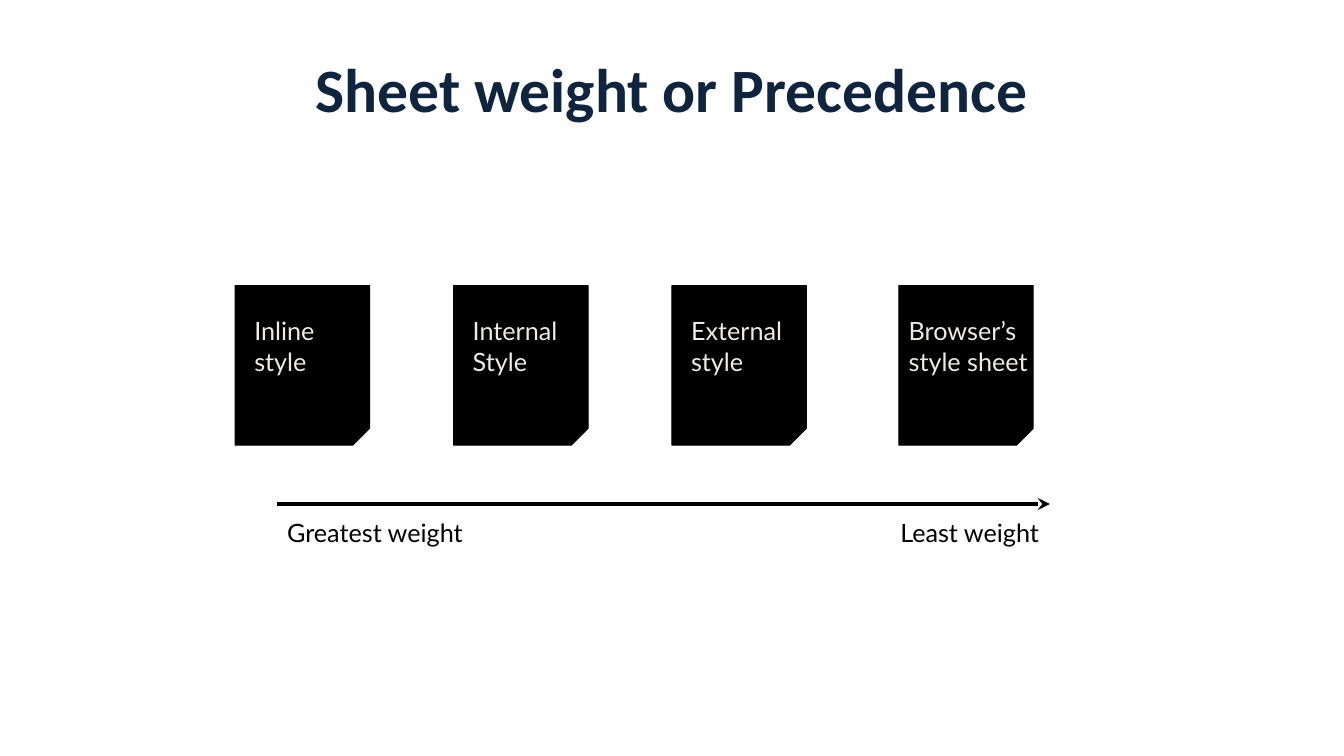
from dataclasses import dataclass

import pptx
import pptx.dml.color
import pptx.enum.shapes
import pptx.enum.text
import pptx.oxml
import pptx.oxml.ns
import pptx.util

CELL = pptx.util.Inches(1) // 12  # the slide is a grid of 160 columns by 90 rows
COLUMNS, ROWS = 160, 90


@dataclass(frozen=True)
class Theme:
    ink: str = "000000"
    title: str = "0F243E"
    card_text: str = "EEECE1"
    title_font: str = "Calibri"
    body_font: str = "Lato"
    title_size: int = 44
    body_size: int = 18
    outline: float = 0.75
    arrow: float = 3


THEME = Theme()


def rgb(code):
    return pptx.dml.color.RGBColor.from_string(code)


def grid(*cells):
    return [round(cell * CELL) for cell in cells]


def drawing_element(tag, attributes=""):
    return pptx.oxml.parse_xml(
        f'<a:{tag} {pptx.oxml.ns.nsdecls("a")} {attributes}/>')


def style_font(font, name, size, color, bold=False):
    font.name = name
    font.size = pptx.util.Pt(size)
    font.bold = bold
    font.color.rgb = rgb(color)


def add_text(shapes, box, text, color, wrap):
    label = shapes.add_textbox(*grid(*box))
    label.text_frame.word_wrap = wrap
    para = label.text_frame.paragraphs[0]
    para.text = text
    style_font(para.font, THEME.body_font, THEME.body_size, color)


def add_title(page, box, text):
    title = page.shapes.title
    title.left, title.top, title.width, title.height = grid(*box)
    title.text_frame.vertical_anchor = pptx.enum.text.MSO_ANCHOR.MIDDLE
    para = title.text_frame.paragraphs[0]
    para.text = text
    para.alignment = pptx.enum.text.PP_ALIGN.CENTER
    style_font(para.font, THEME.title_font, THEME.title_size, THEME.title, bold=True)


def add_sheet_card(page, box, text, inset, text_width):
    left, top, _, _ = box
    group = page.shapes.add_group_shape()
    card = group.shapes.add_shape(
        pptx.enum.shapes.MSO_SHAPE.FOLDED_CORNER, *grid(*box))
    fold = drawing_element("gd", 'name="adj" fmla="val 12500"')
    card._element.spPr.prstGeom.get_or_add_avLst().append(fold)
    card.shadow.inherit = False
    card.fill.solid()
    card.fill.fore_color.rgb = rgb(THEME.ink)
    card.line.color.rgb = rgb(THEME.ink)
    card.line.width = pptx.util.Pt(THEME.outline)
    add_text(group.shapes, (left + inset, top + 3, text_width, 8.4),
             text, THEME.card_text, wrap=True)


def add_weight_scale(page, box, start_text, end_text):
    """Draw an arrow along the top of the box, with a label under each end."""
    left, top, width, height = box
    group = page.shapes.add_group_shape()
    arrow = group.shapes.add_connector(
        pptx.enum.shapes.MSO_CONNECTOR.STRAIGHT,
        *grid(left, top, left + width, top))
    arrow.line.color.rgb = rgb(THEME.ink)
    arrow.line.width = pptx.util.Pt(THEME.arrow)
    properties = arrow._element.spPr
    properties.get_or_add_ln().append(drawing_element("tailEnd", 'type="stealth"'))
    properties.append(drawing_element("effectLst"))

    start_width, end_width = 23.4, 19.2
    for text, label_left, label_width in (
        (start_text, left, start_width),
        (end_text, left + width - end_width + 0.2, end_width),
    ):
        add_text(group.shapes, (label_left, top + 1, label_width, height - 1),
                 text, THEME.ink, wrap=False)


def build_precedence_slide(deck):
    page = deck.slides.add_slide(deck.slide_layouts[5])
    add_title(page, (26, 3, 108, 15), "Sheet weight or Precedence")
    first, pitch = 28, 26
    for index, text in enumerate(("Inline style", "Internal Style", "External style")):
        add_sheet_card(page, (first + index * pitch, 34, 16, 19), text, 1.1, 14.9)
    add_sheet_card(page, (107, 34, 16, 19), "Browser’s style sheet", 0, 17)
    add_weight_scale(page, (33, 60, 92, 5.8), "Greatest weight", "Least weight")


def main():
    deck = pptx.Presentation()
    deck.slide_width, deck.slide_height = grid(COLUMNS, ROWS)
    build_precedence_slide(deck)
    deck.save("out.pptx")


if __name__ == "__main__":
    main()
